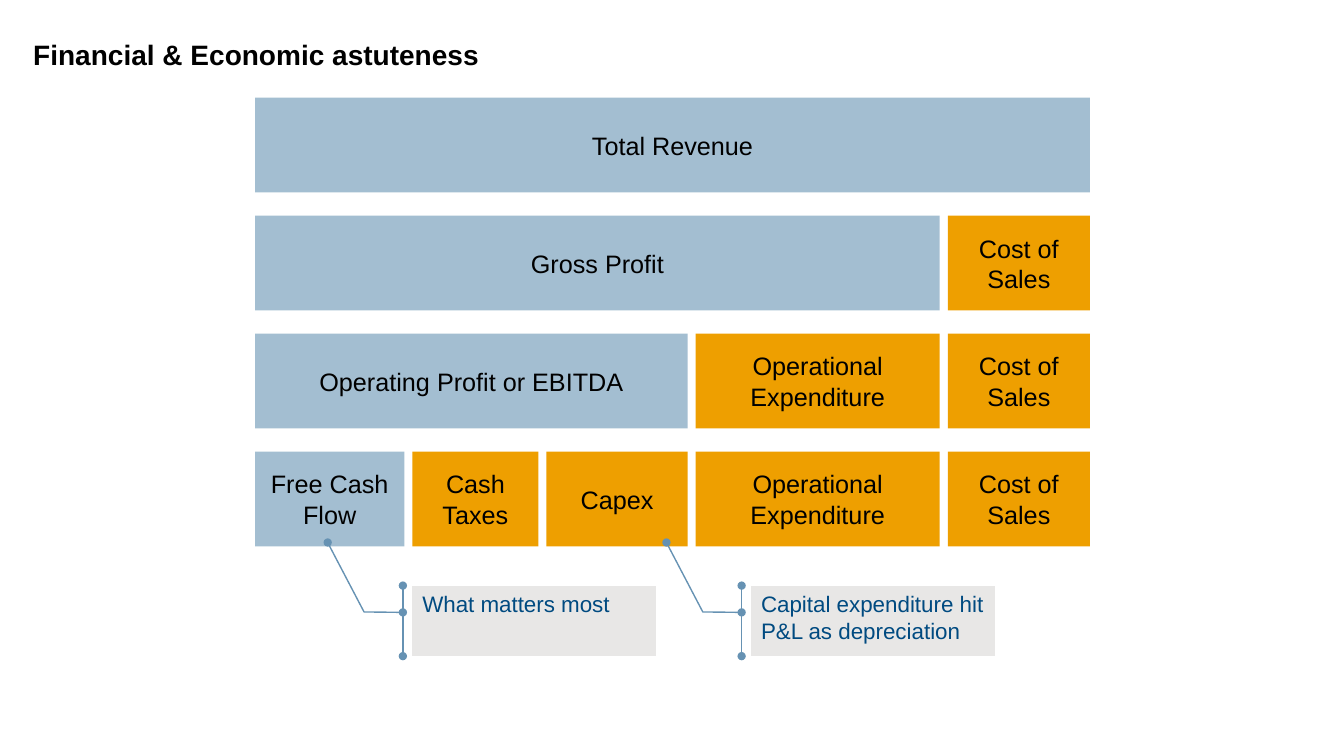
from lxml.etree import SubElement
from pptx import Presentation
from pptx.dml.color import RGBColor
from pptx.enum.shapes import MSO_SHAPE
from pptx.enum.text import MSO_ANCHOR, PP_ALIGN
from pptx.oxml.ns import qn
from pptx.util import Inches, Pt

BLACK = RGBColor(0x00, 0x00, 0x00)
PROFIT_BLUE = RGBColor(0xA3, 0xBE, 0xD1)
COST_ORANGE = RGBColor(0xEE, 0x9F, 0x00)
NOTE_GREY = RGBColor(0xE8, 0xE7, 0xE6)
NOTE_LINE = RGBColor(0x66, 0x92, 0xB3)
NOTE_TEXT = RGBColor(0x00, 0x4A, 0x80)

# Left edges of the columns, offset from the left of the chart
COLUMN_STARTS = [0, 1.56, 2.89, 4.37, 6.87]
COSTS = ["Cash Taxes", "Capex", "Operational Expenditure", "Cost of Sales"]
# Profit label and the number of columns it spans
PROFITS = [
    ("Total Revenue", 5),
    ("Gross Profit", 4),
    ("Operating Profit or EBITDA", 3),
    ("Free Cash Flow", 1),
]
COLUMN_GAP = 0.08
ROW_HEIGHT = 0.94
ROW_PITCH = 1.17

NOTE_SIZE = (2.42, 0.7)
NOTES = [(4.09, "What matters most"),
         (7.45, "Capital expenditure hit P&L as depreciation")]
LEADER_POINTS = [0.38, 1.039, 0.374, 1.198, -0.611, 1.347]


def style_text(para, text, size, color):
    para.text = text
    para.font.name = "Arial"
    para.font.size = Pt(size)
    para.font.color.rgb = color


def add_title(page, left, top, width, height):
    box = page.shapes.add_textbox(*map(Inches, (left, top, width, height)))
    frame = box.text_frame
    frame.word_wrap = True
    frame.vertical_anchor = MSO_ANCHOR.MIDDLE
    frame.margin_left = frame.margin_right = 0
    para = frame.paragraphs[0]
    style_text(para, "Financial & Economic astuteness", 20, BLACK)
    para.font.bold = True


def add_block(page, left, top, width, text, fill):
    block = page.shapes.add_shape(
        MSO_SHAPE.RECTANGLE, *map(Inches, (left, top, width, ROW_HEIGHT)))
    block.shadow.inherit = False
    block.fill.solid()
    block.fill.fore_color.rgb = fill
    block.line.fill.background()
    frame = block.text_frame
    frame.word_wrap = True
    frame.vertical_anchor = MSO_ANCHOR.MIDDLE
    frame.margin_left = frame.margin_right = Inches(0.06)
    frame.margin_top = frame.margin_bottom = Inches(0.06)
    para = frame.paragraphs[0]
    para.alignment = PP_ALIGN.CENTER
    style_text(para, text, 18, BLACK)


def add_waterfall(page, left, top, width):
    """Stack rows in which each further cost takes columns from the profit."""
    edges = COLUMN_STARTS + [width + COLUMN_GAP]
    for row, (profit, span) in enumerate(PROFITS):
        row_top = top + row * ROW_PITCH
        add_block(page, left, row_top, edges[span] - COLUMN_GAP,
                  profit, PROFIT_BLUE)
        for column in range(span, len(COLUMN_STARTS)):
            block_width = edges[column + 1] - edges[column] - COLUMN_GAP
            add_block(page, left + edges[column], row_top, block_width,
                      COSTS[column - 1], COST_ORANGE)


def add_note(page, left, top, width, height, text):
    """Add a mirrored callout whose leader and bar end in dots."""
    note = page.shapes.add_shape(
        MSO_SHAPE.LINE_CALLOUT_2_ACCENT_BAR,
        *map(Inches, (left, top, width, height)))
    note.shadow.inherit = False
    for index, value in enumerate(LEADER_POINTS):
        note.adjustments[index] = value
    properties = note._element.spPr
    properties.find(qn("a:xfrm")).set("flipH", "1")
    note.fill.solid()
    note.fill.fore_color.rgb = NOTE_GREY
    note.line.color.rgb = NOTE_LINE
    note.line.width = Pt(1)
    outline = properties.find(qn("a:ln"))
    for end in ("a:headEnd", "a:tailEnd"):
        SubElement(outline, qn(end), type="oval")
    frame = note.text_frame
    frame.word_wrap = True
    frame.vertical_anchor = MSO_ANCHOR.TOP
    para = frame.paragraphs[0]
    para.alignment = PP_ALIGN.LEFT
    style_text(para, text, 16, NOTE_TEXT)


def main():
    deck = Presentation()
    deck.slide_width = Inches(13.33)
    deck.slide_height = Inches(7.5)
    page = deck.slides.add_slide(deck.slide_layouts[6])
    add_title(page, 0.33, 0.25, 10.17, 0.58)
    add_waterfall(page, 2.53, 0.97, 8.28)
    for left, text in NOTES:
        add_note(page, left, 5.81, *NOTE_SIZE, text)
    deck.save("out.pptx")


if __name__ == "__main__":
    main()
